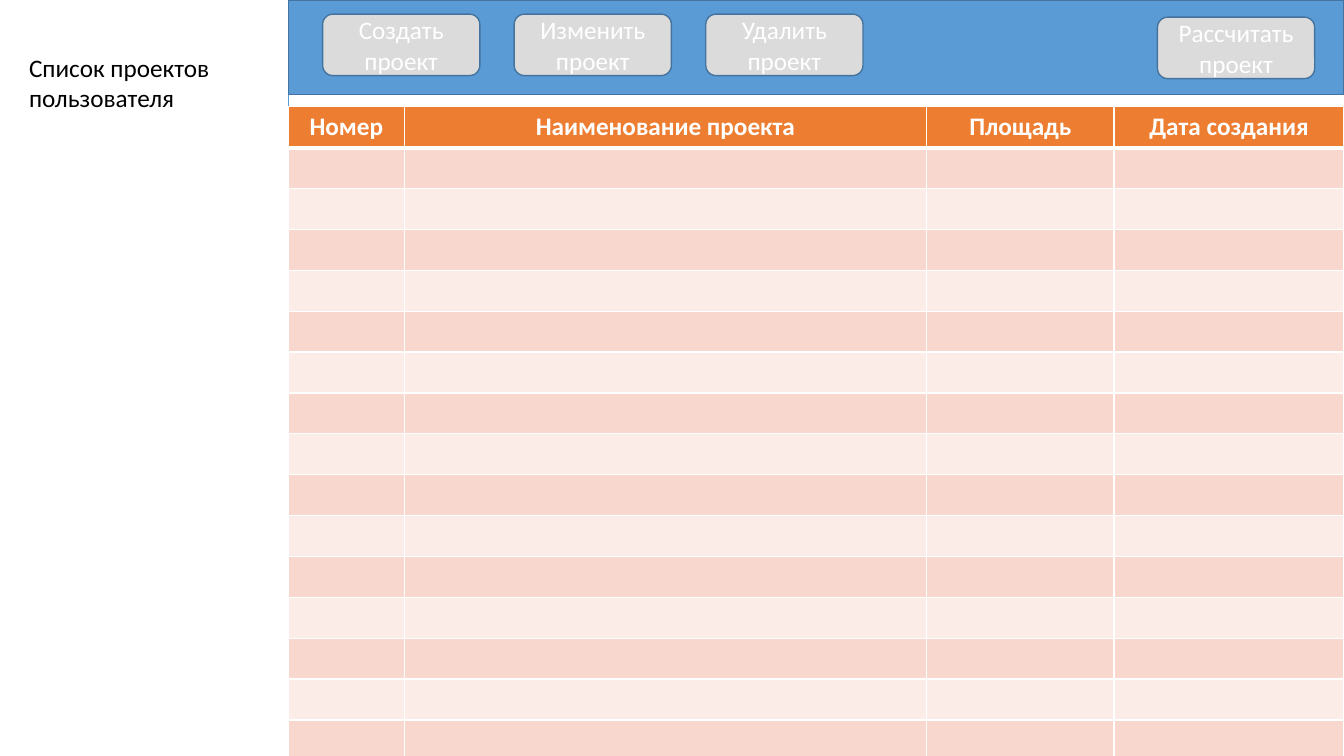
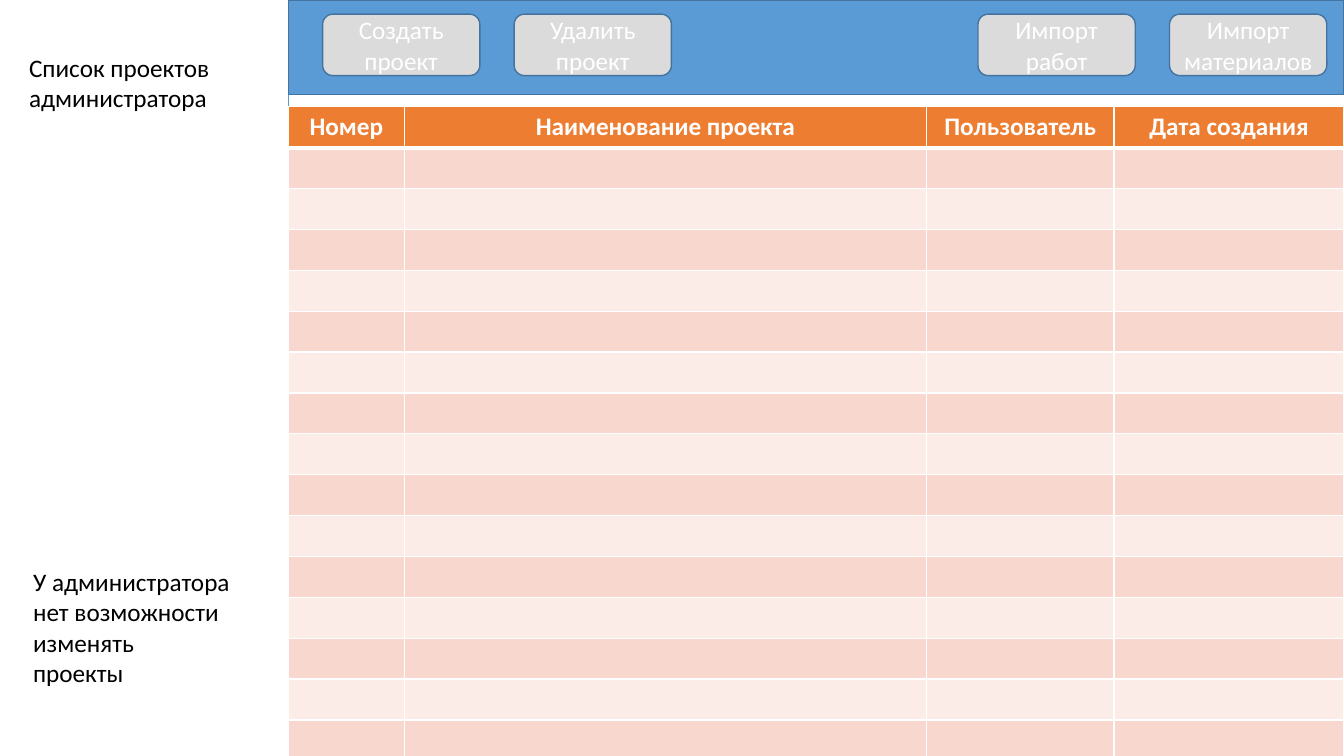
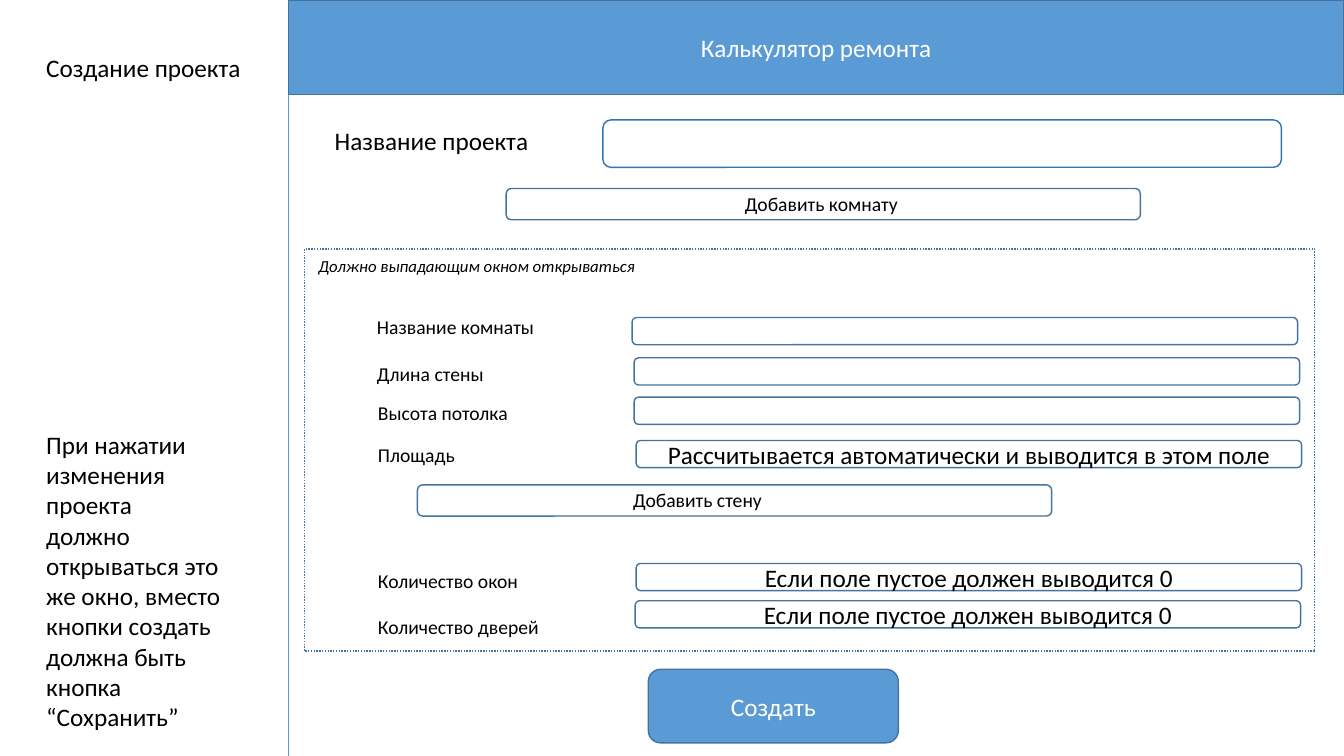
from lxml import etree
from pptx import Presentation
from pptx.dml.color import RGBColor
from pptx.enum.dml import MSO_LINE
from pptx.enum.shapes import MSO_CONNECTOR, MSO_SHAPE
from pptx.enum.text import MSO_ANCHOR, MSO_AUTO_SIZE, PP_ALIGN
from pptx.oxml.ns import qn
from pptx.util import Inches, Pt

RECT = MSO_SHAPE.RECTANGLE
ROUNDED = MSO_SHAPE.ROUNDED_RECTANGLE
STRAIGHT = MSO_CONNECTOR.STRAIGHT
DOTTED = MSO_LINE.ROUND_DOT
CENTER = PP_ALIGN.CENTER
MIDDLE = MSO_ANCHOR.MIDDLE
GROW = MSO_AUTO_SIZE.SHAPE_TO_FIT_TEXT

WHITE = RGBColor(0xFF, 0xFF, 0xFF)
BLACK = RGBColor(0x00, 0x00, 0x00)
BLUE = RGBColor(0x5B, 0x9B, 0xD5)
OUTLINE = RGBColor(0x43, 0x73, 0x9E)
NAME_OUTLINE = RGBColor(0x2E, 0x75, 0xB6)
GRAY = RGBColor(0xDB, 0xDB, 0xDB)
ORANGE = RGBColor(0xED, 0x7D, 0x31)
DARK_BAND = RGBColor(0xF8, 0xD7, 0xCE)
LIGHT_BAND = RGBColor(0xFC, 0xEC, 0xE8)

FONT = "Calibri"
SLIDE_WIDTH, SLIDE_HEIGHT = 13.33, 7.5
SIDEBAR = 2.86
MAIN_WIDTH = SLIDE_WIDTH - SIDEBAR
BUTTON_LEFT, BUTTON_PITCH = 3.2, 1.9
COLUMN_WIDTHS = (1.15, 5.18, 1.86, 2.28)
TABLE_ROWS = 16


class Mockup:
    def __init__(self):
        self.deck = Presentation()
        self.deck.slide_width = Inches(SLIDE_WIDTH)
        self.deck.slide_height = Inches(SLIDE_HEIGHT)
        self.slide = None

    def set_text(self, frame, text, size, color, align=None, bold=None, italic=None):
        frame.text = text
        for paragraph in frame.paragraphs:
            paragraph.alignment = align
            font = paragraph.font
            font.name, font.size = FONT, Pt(size)
            font.bold, font.italic = bold, italic
            font.color.rgb = color

    def box(self, left, top, width, height, text="", kind=ROUNDED, fill=None,
            outline=OUTLINE, color=WHITE, dash=None):
        shape = self.slide.shapes.add_shape(
            kind, Inches(left), Inches(top), Inches(width), Inches(height))
        shape.shadow.inherit = False
        if fill is None:
            shape.fill.background()
        else:
            shape.fill.solid()
            shape.fill.fore_color.rgb = fill
        shape.line.color.rgb = outline
        shape.line.width = Pt(1)
        if dash:
            shape.line.dash_style = dash
        if text:
            shape.text_frame.vertical_anchor = MIDDLE
            self.set_text(shape.text_frame, text, 18, color, CENTER)

    def label(self, left, top, width, height, text, size=18, wrap=False, italic=None):
        frame = self.slide.shapes.add_textbox(
            Inches(left), Inches(top), Inches(width), Inches(height)).text_frame
        frame.word_wrap = wrap
        frame.auto_size = GROW
        self.set_text(frame, text, size, BLACK, italic=italic)

    def divider(self):
        line = self.slide.shapes.add_connector(
            STRAIGHT, Inches(SIDEBAR), 0, Inches(SIDEBAR), Inches(SLIDE_HEIGHT))
        line.line.color.rgb = BLUE
        line.line.width = Pt(0.5)
        etree.SubElement(line._element.spPr, qn("a:effectLst"))

    def start(self, heading, left, width, height, banner=""):
        self.slide = self.deck.slides.add_slide(self.deck.slide_layouts[6])
        self.label(left, 0.47, width, height, heading)
        self.divider()
        self.box(SIDEBAR, 0, MAIN_WIDTH, 0.94, banner, RECT, BLUE)

    def button(self, left, text, top=0.14):
        self.box(left, top, 1.56, 0.61, text, fill=GRAY)

    def button_row(self, left, texts):
        for position, text in enumerate(texts):
            self.button(left + position * BUTTON_PITCH, text)

    def border(self, cell, side, width):
        properties = cell._tc.get_or_add_tcPr()
        line = etree.SubElement(properties, qn(f"a:{side}"), w=str(Pt(width)))
        solid = etree.SubElement(line, qn("a:solidFill"))
        etree.SubElement(solid, qn("a:srgbClr"), val=str(WHITE))

    def project_table(self, headings):
        table = self.slide.shapes.add_table(
            TABLE_ROWS, len(headings), Inches(SIDEBAR), Inches(1.06),
            Inches(MAIN_WIDTH), Inches(6.49)).table
        for column, width in zip(table.columns, COLUMN_WIDTHS):
            column.width = Inches(width)
        for index, row in enumerate(table.rows):
            band = DARK_BAND if index % 2 else LIGHT_BAND
            for cell in row.cells:
                for side in ("lnL", "lnR", "lnT", "lnB"):
                    heavy = (index, side) in ((0, "lnB"), (1, "lnT"))
                    self.border(cell, side, 3 if heavy else 1)
                cell.fill.solid()
                cell.fill.fore_color.rgb = band if index else ORANGE
        for cell, heading in zip(table.rows[0].cells, headings):
            self.set_text(cell.text_frame, heading, 18, WHITE, CENTER, bold=True)

    def project_list(self, owner, buttons, third_heading):
        self.start(f"Список проектов\n{owner}", 0.19, 2.07, 0.71)
        self.button_row(BUTTON_LEFT, buttons)
        self.project_table(("Номер", "Наименование проекта", third_heading, "Дата создания"))

    def add_bar(self, left, top, text, text_left, text_width):
        self.box(left, top, 6.29, 0.31)
        self.label(text_left, top - 0.02, text_width, 0.34, text, 14)

    def form_row(self, name, left, top, width, field_left, field_top, hint=""):
        self.label(left, top, width, 0.34, name, 14)
        self.box(field_left, field_top, 6.6, 0.27, hint, color=BLACK)


mockup = Mockup()

mockup.project_list(
    "пользователя", ("Создать проект", "Изменить проект", "Удалить проект"), "Площадь")
mockup.button(11.48, "Рассчитать проект", 0.17)

mockup.project_list("администратора", ("Создать проект", "Удалить проект"), "Пользователь")
mockup.label(0.23, 5.57, 2.15, 1.62,
             "У администратора нет возможности изменять проекты", wrap=True)
mockup.button_row(9.7, ("Импорт работ", "Импорт материалов"))

mockup.start("Создание проекта", 0.36, 2.15, 0.4, "Калькулятор ремонта")
mockup.label(3.22, 1.19, 2.15, 0.4, "Название проекта")
mockup.box(5.98, 1.19, 6.73, 0.47, outline=NAME_OUTLINE)
mockup.add_bar(5.02, 1.87, "Добавить комнату", 7.29, 1.73)
mockup.box(3.02, 2.47, 10.02, 3.99, kind=RECT, dash=DOTTED)
mockup.label(3.06, 2.49, 3.38, 0.3, "Должно выпадающим окном открываться", 12, italic=True)

EMPTY_HINT = "Если поле пустое должен выводится 0"
ROOM_FIELDS = (
    ("Название комнаты", 3.64, 3.08, 1.78, 6.27, 3.15),
    ("Длина стены", 3.64, 3.54, 1.27, 6.29, 3.55),
    ("Высота потолка", 3.65, 3.93, 1.5, 6.29, 3.94),
    ("Площадь", 3.65, 4.34, 0.97, 6.31, 4.37,
     "Рассчитывается автоматически и выводится в этом поле"),
    ("Количество окон", 3.65, 5.59, 1.6, 6.31, 5.59, EMPTY_HINT),
    ("Количество дверей", 3.65, 6.05, 1.82, 6.3, 5.96, EMPTY_HINT),
)
for room_field in ROOM_FIELDS:
    mockup.form_row(*room_field)
mockup.add_bar(4.14, 4.81, "Добавить стену", 6.18, 1.49)
mockup.box(6.43, 6.64, 2.48, 0.73, "Создать", fill=BLUE)
mockup.label(0.36, 4.21, 2.15, 3.13,
             "При нажатии изменения проекта\nдолжно открываться это же окно, "
             "вместо кнопки создать должна быть кнопка “Сохранить”", wrap=True)

mockup.deck.save("out.pptx")
